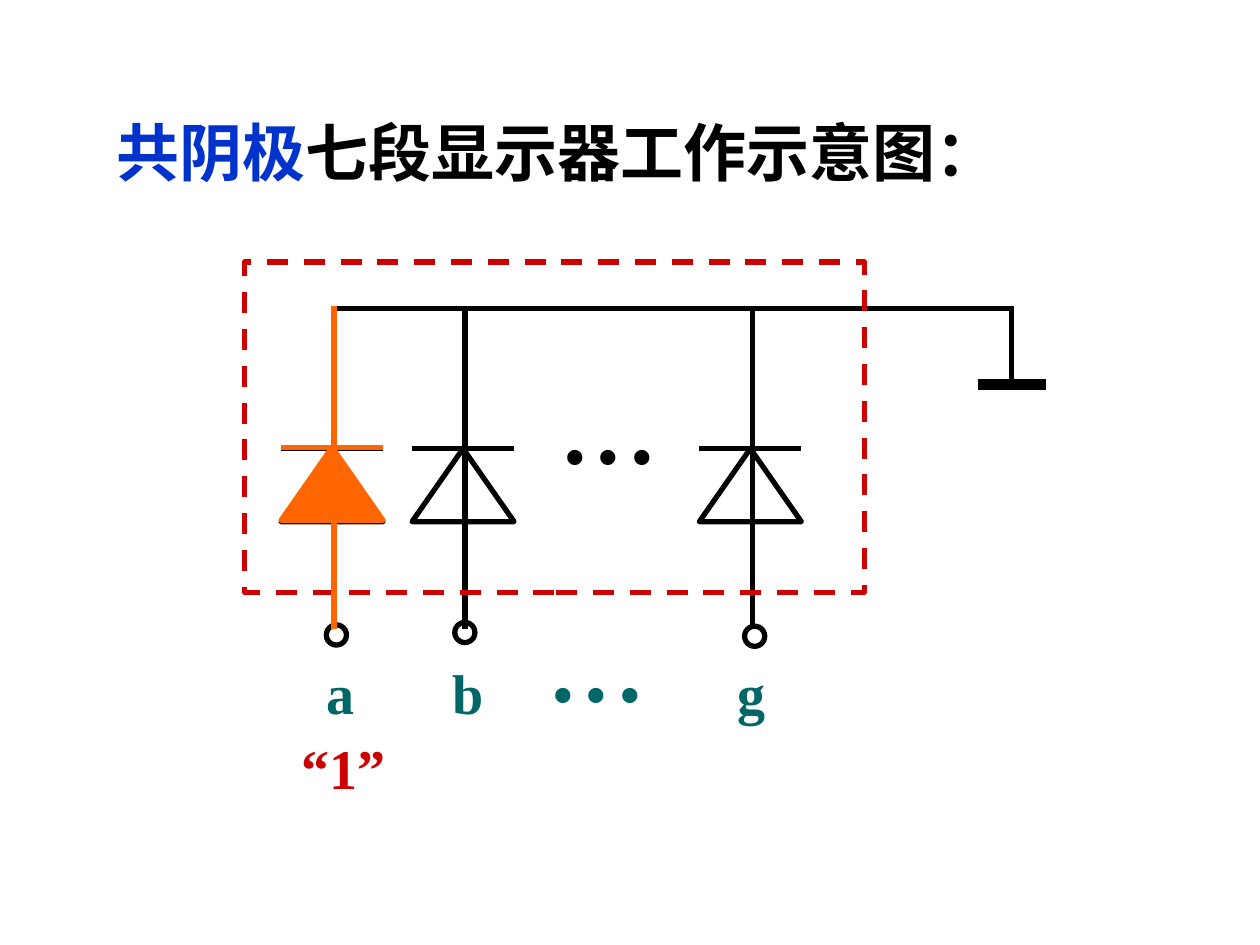
from lxml import etree
from pptx import Presentation
from pptx.dml.color import RGBColor
from pptx.enum import dml, shapes, text
from pptx.oxml.ns import qn
from pptx.util import Inches, Pt

BLACK = RGBColor(0, 0, 0)
BLUE = RGBColor(0x00, 0x33, 0xCC)
RED = RGBColor(0xCC, 0, 0)
TEAL = RGBColor(0, 0x66, 0x66)
ORANGE = RGBColor(0xFF, 0x66, 0)

# Content
TITLE = [("共阴极", BLUE), ("七段显示器工作示意图：", BLACK)]
ELLIPSIS = "• • •"
PIN_LABELS = ["a", "b", ELLIPSIS, "g"]
PIN_TABS = [1.0, 1.8, 3.26]  # from the first label
INPUT_LEVEL = "“1”"

# Circuit geometry, in inches
BUS_Y, CATHODE_Y, PIN_Y = 2.44, 3.56, 4.99
DIODE_W, DIODE_H, PIN_D = 0.81, 0.58, 0.16
LEAD_OFFSET = 0.42  # from a diode's left side to its lead
DIODES = [2.23, 3.27, 5.55]  # left sides
PINS = [(2.59, 4.96), (3.61, 4.94), (5.91, 4.97)]
GROUND_X, GROUND_Y, GROUND_HALF = 8.03, 3.05, 0.27

prs = Presentation()
prs.slide_width, prs.slide_height = Inches(10), Inches(7.5)
slide = prs.slides.add_slide(prs.slide_layouts[6])


def add_line(x1, y1, x2, y2, color=BLACK, width=3):
    line = slide.shapes.add_connector(
        shapes.MSO_CONNECTOR.STRAIGHT, *map(Inches, (x1, y1, x2, y2)))
    line.line.color.rgb = color
    line.line.width = Pt(width)
    etree.SubElement(line._element.spPr, qn("a:effectLst"))


def add_outline(kind, x, y, w, h, color=BLACK, fill=None):
    outline = slide.shapes.add_shape(kind, *map(Inches, (x, y, w, h)))
    outline.shadow.inherit = False
    if fill is None:
        outline.fill.background()
    else:
        outline.fill.solid()
        outline.fill.fore_color.rgb = fill
    outline.line.color.rgb = color
    outline.line.width = Pt(3)
    return outline


def add_text(runs, x, y, w, h, size=32, font="Times New Roman",
             align=text.PP_ALIGN.CENTER, top=0.09, left=0.1, tabs=()):
    frame = slide.shapes.add_textbox(*map(Inches, (x, y, w, h))).text_frame
    frame.word_wrap = True
    frame.margin_top, frame.margin_left = Inches(top), Inches(left)
    paragraph = frame.paragraphs[0]
    paragraph.alignment = align
    if tabs:
        stops = etree.SubElement(paragraph._p.get_or_add_pPr(), qn("a:tabLst"))
        for position in tabs:
            etree.SubElement(stops, qn("a:tab"), pos=str(Inches(position)), algn="l")
    paragraph.font.size = Pt(size)
    paragraph.font.name = font
    paragraph.font.bold = True
    for words, color in runs:
        run = paragraph.add_run()
        run.text = words
        run.font.color.rgb = color
    return frame


def add_diode(x, color=BLACK, fill=None, lift=0):
    lead_x, cathode_y = x + LEAD_OFFSET, CATHODE_Y - lift
    triangle = add_outline(shapes.MSO_SHAPE.FLOWCHART_MERGE,
                           x, cathode_y, DIODE_W, DIODE_H, color, fill)
    triangle.rotation = 180
    add_line(lead_x, BUS_Y - lift, lead_x, PIN_Y, color)
    add_line(x, cathode_y, x + DIODE_W, cathode_y, color)


# Title
title = add_text(TITLE, 0.83, 0.3, 8.05, 1.25, 36, "Arial",
                 text.PP_ALIGN.LEFT, top=0.05)
title.vertical_anchor = text.MSO_ANCHOR.BOTTOM

# Diodes, common cathode bus and ground
for diode_x in DIODES:
    add_diode(diode_x)
add_text([(ELLIPSIS, BLACK)], 4.15, 3.25, 1.36, 0.64)
add_line(DIODES[0] + LEAD_OFFSET, BUS_Y + 0.01, GROUND_X + 0.02, BUS_Y + 0.01)
package = add_outline(shapes.MSO_SHAPE.RECTANGLE, 1.94, 2.08, 4.92, 2.62, RED)
package.line.dash_style = dml.MSO_LINE.DASH
add_line(GROUND_X, BUS_Y, GROUND_X, GROUND_Y)
add_line(GROUND_X - GROUND_HALF, GROUND_Y, GROUND_X + GROUND_HALF, GROUND_Y, width=6)

# Input pins and their labels
for pin_x, pin_y in PINS:
    add_outline(shapes.MSO_SHAPE.OVAL, pin_x, pin_y, PIN_D, PIN_D)
add_text([("\t".join(PIN_LABELS), TEAL)], 2.38, 5.14, 4.45, 0.64,
         align=text.PP_ALIGN.LEFT, left=0.21, tabs=PIN_TABS)
add_text([(INPUT_LEVEL, RED)], 2.02, 5.73, 1.42, 0.64)

# Lit segment a
add_diode(DIODES[0], ORANGE, ORANGE, lift=0.01)

prs.save("out.pptx")
